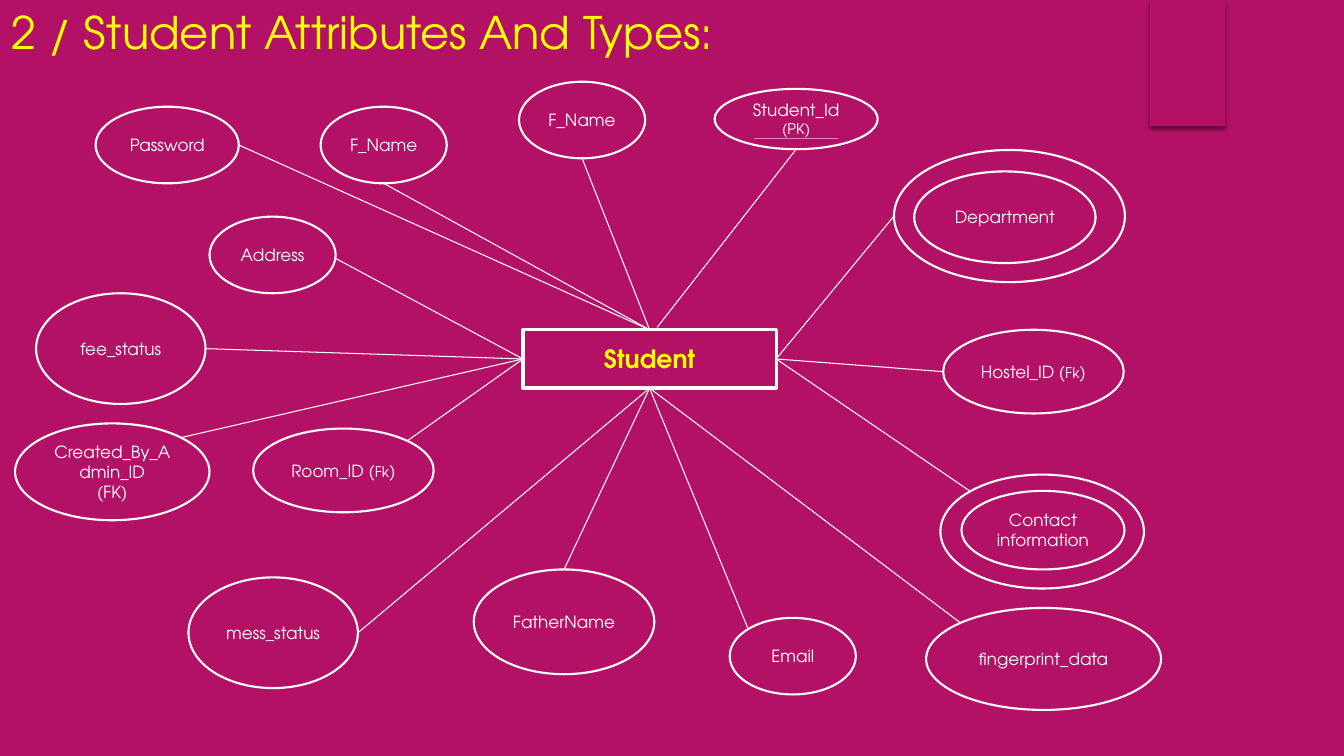
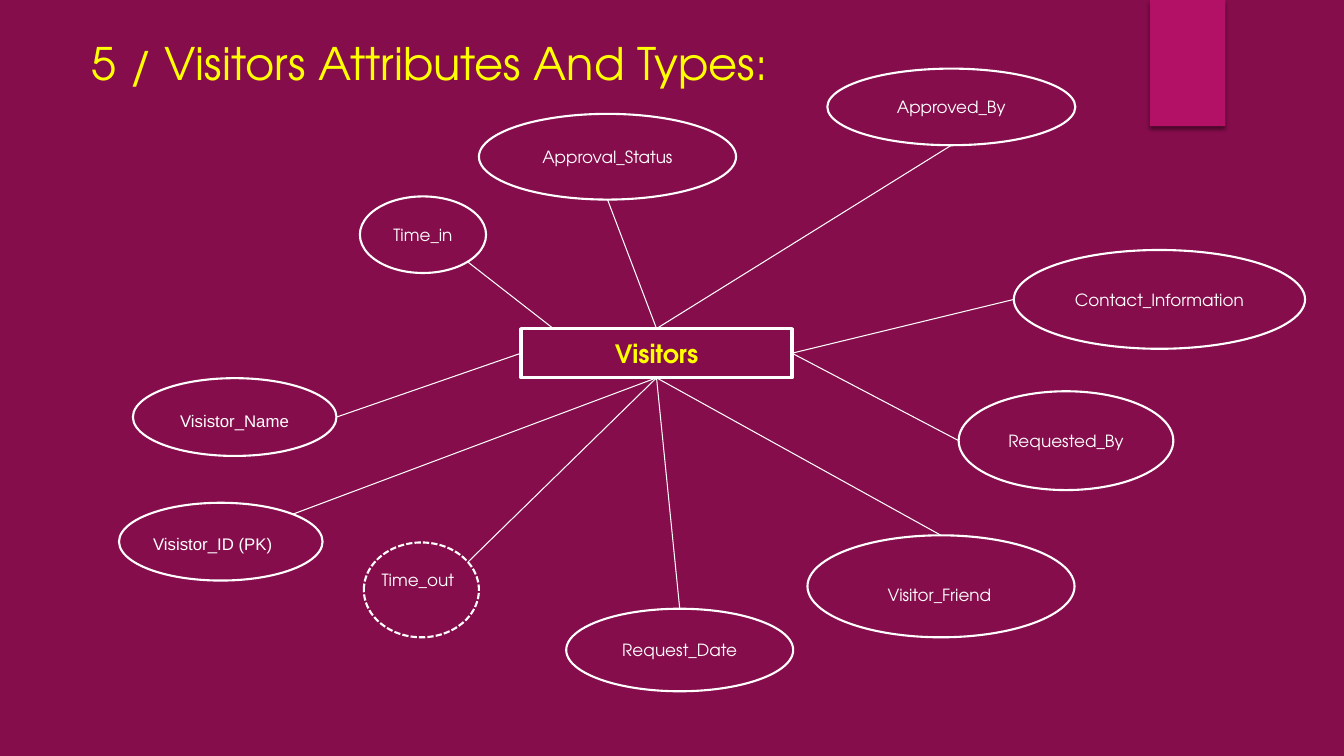
import math

from lxml import etree
from pptx import Presentation
from pptx.dml.color import RGBColor
from pptx.enum.dml import MSO_LINE
from pptx.enum.shapes import MSO_CONNECTOR, MSO_SHAPE
from pptx.enum.text import MSO_ANCHOR, MSO_AUTO_SIZE, PP_ALIGN
from pptx.oxml.ns import qn
from pptx.util import Cm, Pt

RECT, OVAL = MSO_SHAPE.RECTANGLE, MSO_SHAPE.OVAL
STRAIGHT, DASH = MSO_CONNECTOR.STRAIGHT, MSO_LINE.SQUARE_DOT
LEFT_ALIGN, CENTER = PP_ALIGN.LEFT, PP_ALIGN.CENTER
TOP, LEFT, BOTTOM, RIGHT = range(4)  # connection sites of a rectangle

FONT = "TeX Gyre Adventor"
COLORS = {
    "pink": "B31166",
    "plum": "860D4C",
    "yellow": "FFFF00",
    "white": "FFFFFF",
    "key": "F37EBB",
    "shadow": "000000",
}
SMALL = 10.5
OVAL_SIZE = (3.18, 1.93)
ID_SIZE = (4.55, 2.11)
STATUS_SIZE = (4.27, 2.79)
VISITOR_SIZE = (5.13, 1.96)


def rgb(name):
    return RGBColor.from_string(COLORS[name])


def cm(values):
    return [Cm(v) for v in values]


def write(tf, text, size=12, color="white", font=FONT, bold=False,
          align=CENTER, level=0, spacing=None):
    """Write a string, or a list of paragraphs made of (text, size) runs."""
    paragraphs = [[(text, size)]] if isinstance(text, str) else text
    for i, runs in enumerate(paragraphs):
        p = tf.add_paragraph() if i else tf.paragraphs[0]
        p.alignment, p.level, p.line_spacing = align, level, spacing
        for run_text, run_size in runs:
            r = p.add_run()
            r.text = run_text
            r.font.name, r.font.size, r.font.bold = font, Pt(run_size), bold
            r.font.color.rgb = rgb(color)


def add_title(s, text, box):
    sp = s.shapes.title
    sp.left, sp.top, sp.width, sp.height = cm(box)
    tf = sp.text_frame
    tf.word_wrap, tf.auto_size = True, MSO_AUTO_SIZE.NONE
    tf.vertical_anchor = MSO_ANCHOR.TOP
    write(tf, text, size=32, color="yellow", align=LEFT_ALIGN)


def add_band(s):
    """Add the corner band with its soft shadow below."""
    sp = s.shapes.add_shape(RECT, *cm((28.98, 0, 1.9, 3.18)))
    sp.fill.solid()
    sp.fill.fore_color.rgb = rgb("pink")
    sp.line.fill.background()
    sp.shadow.inherit = False
    effects = sp._element.spPr.find(qn("a:effectLst"))
    shadow = etree.SubElement(effects, qn("a:outerShdw"), blurRad=str(Pt(3)),
                              dist=str(Pt(2)), dir="5400000", rotWithShape="0")
    tint = etree.SubElement(shadow, qn("a:srgbClr"), val=COLORS["shadow"])
    etree.SubElement(tint, qn("a:alpha"), val="45000")


def add_outline(s, kind, box, width=1.5, dash=None):
    sp = s.shapes.add_shape(kind, *cm(box))
    sp.shadow.inherit = False
    sp.fill.background()
    sp.line.color.rgb = rgb("white")
    sp.line.width = Pt(width)
    if dash:
        sp.line.dash_style = dash
    return sp


def add_line(s, start, end, color="white"):
    line = s.shapes.add_connector(STRAIGHT, *cm((*start, *end)))
    line.line.color.rgb = rgb(color)
    line.line.width = Pt(0.75)
    etree.SubElement(line._element.spPr, qn("a:effectLst"))
    return line


def add_label(s, text, box, wrap=True, **fmt):
    tf = s.shapes.add_textbox(*cm(box)).text_frame
    tf.word_wrap = wrap
    write(tf, text, **fmt)


def add_entity(s, text, box):
    sp = add_outline(s, RECT, box, width=2.25)
    write(sp.text_frame, text, size=18, color="yellow", bold=True)
    return sp


def rim_point(box, angle):
    """Return the point of an oval's outline at an angle in degrees."""
    x, y, w, h = box
    a = math.radians(angle)
    return x + w / 2 * (1 + math.cos(a)), y + h / 2 * (1 - math.sin(a))


def add_attribute(s, entity, text, pos, size, angle, target,
                  inner=None, dash=None):
    """Add an oval and its line to a side of the entity, or to a free point.

    An inner box makes the oval double and takes the text.
    """
    box = (*pos, *size)
    sp = add_outline(s, OVAL, box, dash=dash)
    if inner:
        sp = add_outline(s, OVAL, inner)
    if text:
        write(sp.text_frame, text)
    start = rim_point(box, angle)
    if isinstance(target, tuple):
        add_line(s, start, target)
    else:
        add_line(s, start, start).end_connect(entity, target)


def new_slide(prs, background, title, title_box):
    s = prs.slides.add_slide(prs.slide_layouts[5])
    s.background.fill.solid()
    s.background.fill.fore_color.rgb = rgb(background)
    add_band(s)
    add_title(s, title, title_box)
    return s


def foreign_key(name):
    return [[(name + " (", 12), ("Fk", SMALL), (")", 12)]]


def student_slide(prs):
    s = new_slide(prs, "pink", "2 / Student Attributes And Types:",
                  (0.03, 0, 18.77, 1.63))
    student = add_entity(s, "Student", (13.18, 8.31, 6.38, 1.47))
    student_id = [[("Student_Id ", 12), ("(PK)", SMALL)]]
    created_by = [[("Created_By_Admin_ID", 12)], [("(FK)", 12)]]
    for text, pos, size, angle, target in (
        ("Password", (2.41, 2.69), (3.61, 1.93), 0, TOP),
        ("F_Name", (8.08, 2.69), OVAL_SIZE, -90, TOP),
        ("F_Name", (13.08, 2.06), OVAL_SIZE, -90, TOP),
        (student_id, (18.01, 2.24), (4.11, 1.52), -90, (16.56, 8.25)),
        ("Address", (5.28, 5.46), OVAL_SIZE, -5, LEFT),
        ("fee_status", (0.91, 7.39), STATUS_SIZE, 0, LEFT),
        (created_by, (0.38, 10.67), (4.9, 2.44), 45, LEFT),
        (foreign_key("Room_ID"), (6.38, 10.8), ID_SIZE, 45, LEFT),
        (foreign_key("Hostel_ID"), (23.77, 8.31), ID_SIZE, 180, RIGHT),
        ("mess_status", (4.75, 14.55), STATUS_SIZE, 0, BOTTOM),
        ("FatherName", (11.94, 14.35), (4.55, 2.64), 90, BOTTOM),
        ("Email", (18.39, 15.57), OVAL_SIZE, 135, BOTTOM),
        ("fingerprint_data", (23.34, 15.32), (5.92, 2.57), 135, BOTTOM),
    ):
        add_attribute(s, student, text, pos, size, angle, target)
    add_attribute(s, student, "Department", (22.53, 3.78), (5.82, 3.33),
                  180, RIGHT, inner=(23.04, 4.32, 4.57, 2.31))
    add_attribute(s, student, "Contact information", (23.7, 11.96),
                  (5.13, 2.87), 135, RIGHT, inner=(24.23, 12.37, 4.11, 1.98))
    add_line(s, (19, 3.48), (21.11, 3.48), color="key")


def visitors_slide(prs):
    s = new_slide(prs, "plum", "5 / Visitors Attributes And Types:",
                  (2.06, 0.76, 19.51, 1.63))
    visitors = add_entity(s, "Visitors", (13.13, 8.28, 6.83, 1.24))
    for text, pos, size, angle, target in (
        ("Time_in", (9.07, 4.95), OVAL_SIZE, -45, (13.92, 8.26)),
        ("Approval_Status", (12.07, 2.87), (6.48, 2.16), -90, TOP),
        ("Approved_By", (20.85, 1.73), (6.25, 1.93), -90, TOP),
        ("Contact_Information", (25.55, 6.3), (7.34, 2.49), 180, RIGHT),
        ("Requested_By", (24.16, 9.86), (5.41, 2.49), 180, RIGHT),
        ("Request_Date", (14.27, 15.34), (5.72, 2.08), 90, BOTTOM),
        (None, (20.35, 13.49), (6.73, 2.57), 90, BOTTOM),
        (None, (3.35, 9.53), VISITOR_SIZE, 0, LEFT),
        (None, (3, 12.67), VISITOR_SIZE, 45, BOTTOM),
    ):
        add_attribute(s, visitors, text, pos, size, angle, target)
    add_attribute(s, visitors, None, (9.17, 13.67), (2.9, 2.39), 36, BOTTOM,
                  dash=DASH)
    add_label(s, "Visitor_Friend", (21.87, 14.6, 3.61, 0.76))
    add_label(s, "Time_out", (9.35, 14.22, 2.36, 0.76), wrap=False)
    for text, box in (
        ("Visistor_Name", (3.02, 9.98, 5.6, 0.94)),
        ("Visistor_ID (PK)", (2.34, 13.06, 5.6, 0.94)),
    ):
        add_label(s, text, box, font="Arial", align=LEFT_ALIGN, level=1,
                  spacing=1.5)


def main():
    prs = Presentation()
    prs.slide_width, prs.slide_height = Cm(33.87), Cm(19.05)
    student_slide(prs)
    visitors_slide(prs)
    prs.save("out.pptx")


if __name__ == "__main__":
    main()
